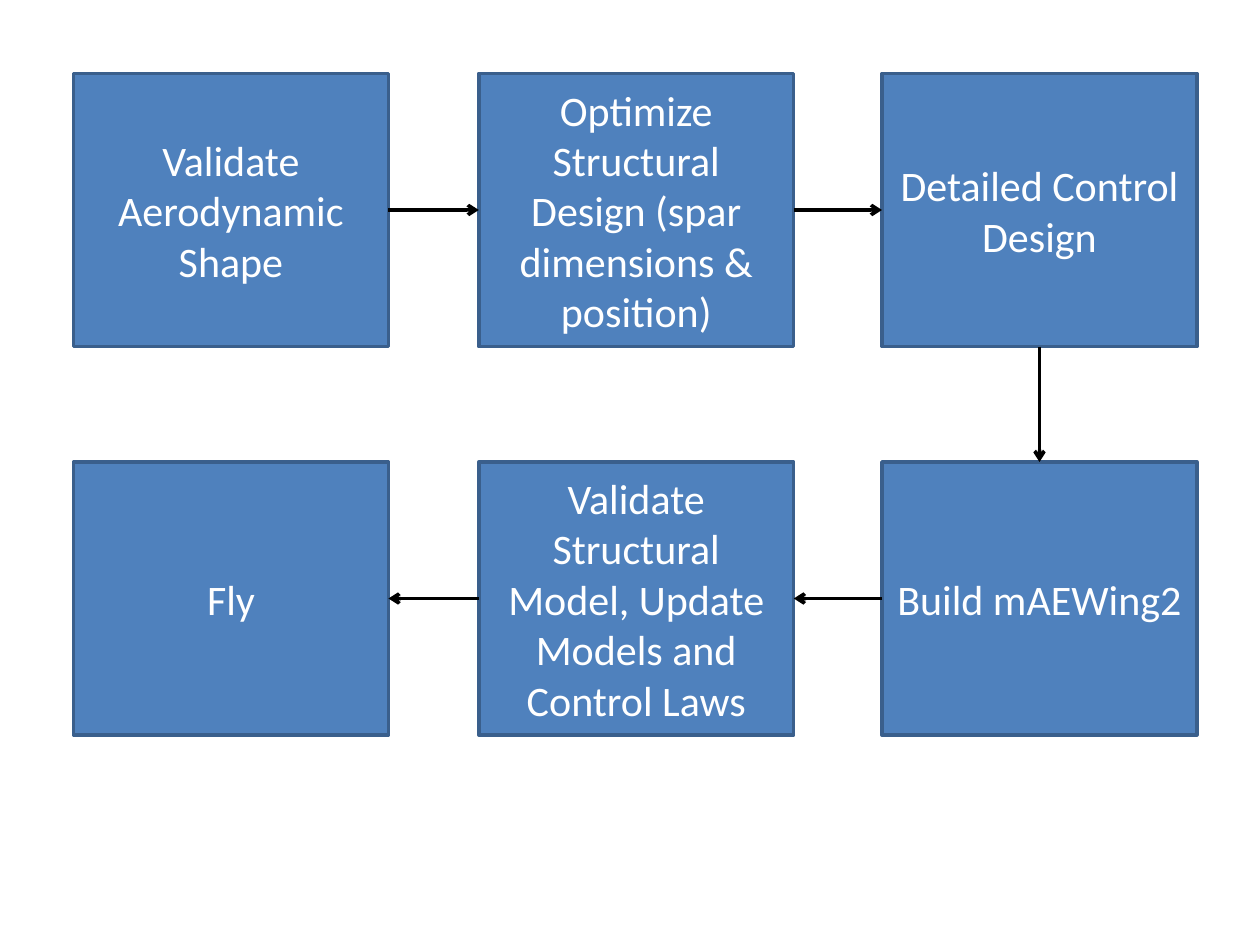
from dataclasses import dataclass
from lxml.etree import SubElement
from pptx import Presentation
from pptx.dml.color import RGBColor
from pptx.enum.shapes import MSO_CONNECTOR, MSO_SHAPE
from pptx.enum.text import MSO_ANCHOR, PP_ALIGN
from pptx.oxml.ns import qn
from pptx.util import Pt


@dataclass(frozen=True)
class Theme:
    fill: str = "4F81BD"
    edge: str = "3A5F8C"
    text: str = "FFFFFF"
    arrow: str = "000000"
    font: str = "Calibri"
    size: float = 24
    line: float = 2


class Flow:
    def __init__(self, slide, theme):
        self.slide = slide
        self.theme = theme

    def stroke(self, line, color):
        line.color.rgb = RGBColor.from_string(color)
        line.width = Pt(self.theme.line)

    def box(self, left, top, width, height, text):
        theme = self.theme
        box = self.slide.shapes.add_shape(
            MSO_SHAPE.RECTANGLE, Pt(left), Pt(top), Pt(width), Pt(height))
        box.shadow.inherit = False
        box.fill.solid()
        box.fill.fore_color.rgb = RGBColor.from_string(theme.fill)
        self.stroke(box.line, theme.edge)
        frame = box.text_frame
        frame.word_wrap = True
        frame.vertical_anchor = MSO_ANCHOR.MIDDLE
        para = frame.paragraphs[0]
        para.alignment = PP_ALIGN.CENTER
        run = para.add_run()
        run.text = text
        run.font.name = theme.font
        run.font.size = Pt(theme.size)
        run.font.color.rgb = RGBColor.from_string(theme.text)
        return box

    def arrow(self, start, exit, end, entry):
        link = self.slide.shapes.add_connector(
            MSO_CONNECTOR.STRAIGHT, 0, 0, 0, 0)
        link.begin_connect(start, exit)
        link.end_connect(end, entry)
        self.stroke(link.line, self.theme.arrow)
        SubElement(link.line._get_or_add_ln(), qn("a:tailEnd"), type="arrow")
        SubElement(link._element.spPr, qn("a:effectLst"))


# Slide
deck = Presentation()
deck.slide_width, deck.slide_height = Pt(720), Pt(540)
flow = Flow(deck.slides.add_slide(deck.slide_layouts[6]), Theme())

# Steps: left to right on the top row, then back along the bottom row
LEFTS = (42, 273.6, 504)
TOPS = (42, 264)
WIDTH, HEIGHT = 180, 156
STEPS = (
    "Validate Aerodynamic Shape",
    "Optimize Structural Design (spar dimensions & position)",
    "Detailed Control Design",
    "Build mAEWing2",
    "Validate Structural Model, Update Models and Control Laws",
    "Fly",
)
spots = [(x, TOPS[0]) for x in LEFTS] + [(x, TOPS[1]) for x in LEFTS[::-1]]
boxes = [flow.box(x, y, WIDTH, HEIGHT, text)
         for (x, y), text in zip(spots, STEPS)]

# Arrows between neighbours, by connection site
TOP, LEFT, BOTTOM, RIGHT = range(4)
sides = [(RIGHT, LEFT)] * 2 + [(BOTTOM, TOP)] + [(LEFT, RIGHT)] * 2
for start, end, (exit, entry) in zip(boxes, boxes[1:], sides):
    flow.arrow(start, exit, end, entry)

deck.save("out.pptx")
